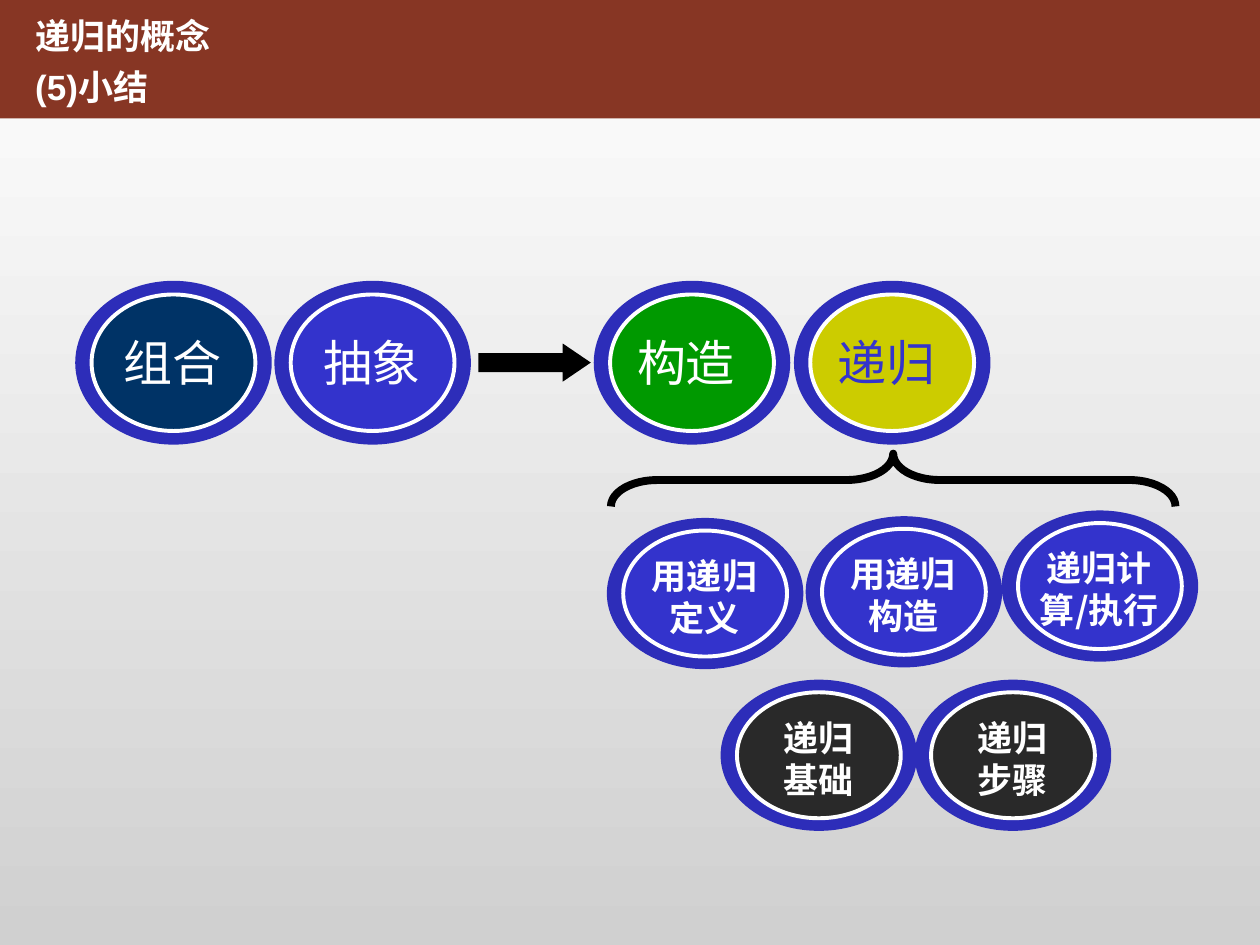
import pptx
import pptx.dml.color
import pptx.enum.shapes
import pptx.enum.text
import pptx.oxml.ns
import pptx.util
import lxml.etree

Pt = pptx.util.Pt
Kind = pptx.enum.shapes.MSO_SHAPE
Align = pptx.enum.text.PP_ALIGN


def color(value):
    return pptx.dml.color.RGBColor.from_string(value)


class SlideBuilder:
    chinese_font = "Noto Sans CJK SC"
    ring_color = "2D2DB9"
    ring_width, disc_width = 112.3, 93.6

    def __init__(self, page):
        self.page = page

    def background(self, top, bottom):
        fill = self.page.background.fill
        fill.gradient()
        fill.gradient_angle = 270
        for stop, value in zip(fill.gradient_stops, (top, bottom)):
            stop.color.rgb = color(value)

    def shape(self, kind, left, top, width, height, fill=None, line=None,
              weight=2.25, adjust=(), parent=None):
        shapes = (parent or self.page).shapes
        shape = shapes.add_shape(kind, Pt(left), Pt(top), Pt(width), Pt(height))
        shape.shadow.inherit = False
        for index, value in enumerate(adjust):
            shape.adjustments[index] = value
        if fill:
            shape.fill.solid()
            shape.fill.fore_color.rgb = color(fill)
        else:
            shape.fill.background()
        if line:
            shape.line.color.rgb = color(line)
            shape.line.width = Pt(weight)
        else:
            shape.line.fill.background()
        return shape

    def text(self, left, top, width, height, lines, size, ink="FFFFFF",
             bold=False, font=chinese_font, align=Align.CENTER, wrap=True,
             spacing=1, parent=None):
        shapes = (parent or self.page).shapes
        box = shapes.add_textbox(Pt(left), Pt(top), Pt(width), Pt(height))
        frame = box.text_frame
        frame.word_wrap = wrap
        frame.auto_size = pptx.enum.text.MSO_AUTO_SIZE.SHAPE_TO_FIT_TEXT
        for index, line in enumerate(lines):
            para = frame.paragraphs[0] if index == 0 else frame.add_paragraph()
            para.alignment = align
            para.line_spacing = spacing
            span = para.add_run()
            span.text = line
            span.font.size = Pt(size)
            span.font.bold = bold
            span.font.color.rgb = color(ink)
            span.font.name = font
            east_asian = lxml.etree.SubElement(
                span.font._element, pptx.oxml.ns.qn("a:ea"))
            east_asian.set("typeface", self.chinese_font)

    def badge(self, left, top, height, lines, fill, size, text_drop,
              ink="FFFFFF", bold=False):
        group = self.page.shapes.add_group_shape()
        inset = (self.ring_width - self.disc_width) / 2
        disc_height = height * 5 / 6
        self.shape(Kind.OVAL, left, top, self.ring_width, height,
                   self.ring_color, parent=group)
        self.shape(Kind.OVAL, left + inset, top + (height - disc_height) / 2,
                   self.disc_width, disc_height, fill, "FFFFFF", parent=group)
        self.text(left + inset, top + text_drop, 92.9, height - 2 * text_drop,
                  lines, size, ink, bold, parent=group)

    def concept(self, left, label, fill, ink="FFFFFF"):
        self.badge(left, 160.5, 93.6, [label], fill, 28, 26, ink)

    def detail(self, left, top, lines, fill):
        self.badge(left, top, 86.4, lines, fill, 20, 17.3, bold=True)


def main():
    deck = pptx.Presentation()
    deck.slide_width, deck.slide_height = Pt(720), Pt(540)
    builder = SlideBuilder(deck.slides.add_slide(deck.slide_layouts[6]))
    builder.background("FFFFFF", "D0D0D0")
    builder.shape(Kind.RECTANGLE, 0, 0, 720, 67.6, "873624")
    builder.text(13, 0, 114.5, 65, ["递归的概念", "(5)小结"], 20, bold=True,
                 font="Arial", align=Align.LEFT, wrap=False, spacing=1.2)

    for left, label, fill, ink in (
        (43, "组合", "003366", "FFFFFF"),
        (156.8, "抽象", "3333CC", "FFFFFF"),
        (339.3, "构造 ", "009900", "FFFFFF"),
        (453.7, "递归 ", "CCCC00", "3333CC"),
    ):
        builder.concept(left, label, fill, ink)
    builder.shape(Kind.RIGHT_ARROW, 273.4, 196.3, 64.2, 21.8, "000000",
                  adjust=(0.5, 0.735))

    for left, top, label in (
        (346.8, 296, "用递归定义"),
        (460.4, 295, "用递归构造"),
        (572.4, 291.7, "递归计算/执行"),
    ):
        builder.detail(left, top, [label], "3333CC")
    brace = builder.shape(Kind.LEFT_BRACE, 495.3, 113, 30.2, 322.6,
                          line="000000", weight=4.5, adjust=(0.88, 0.5))
    brace.rotation = 90

    for left, label in ((411.8, "基础"), (522.7, "步骤")):
        builder.detail(left, 388.4, ["递归", label], "292929")

    deck.save("out.pptx")


if __name__ == "__main__":
    main()
